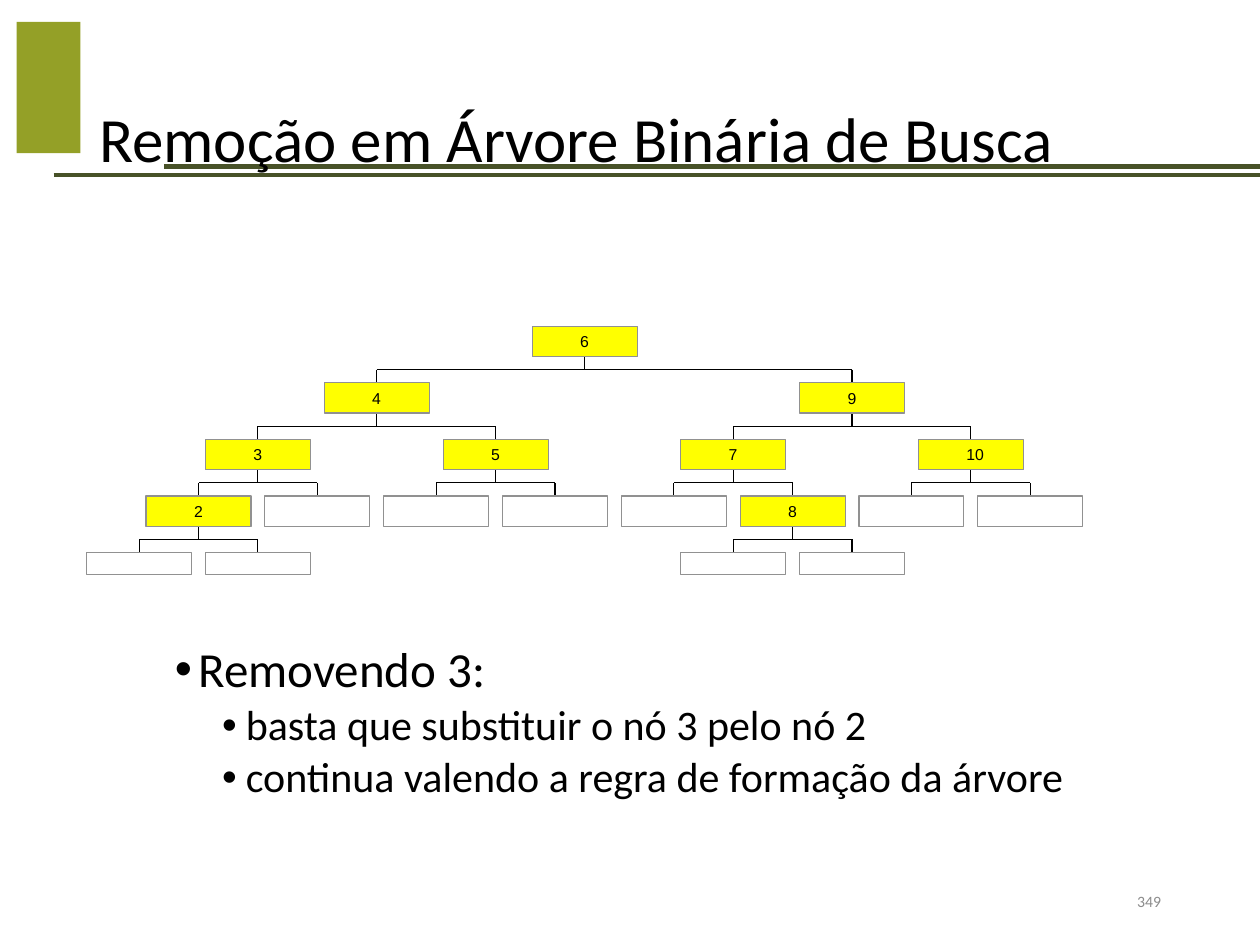
from dataclasses import dataclass, field

from lxml import etree
from pptx import Presentation
from pptx.dml.color import RGBColor as Rgb
from pptx.enum import shapes as es, text as et
from pptx.oxml import ns
from pptx.util import Pt


@dataclass(frozen=True)
class Theme:
    green: str = "94A027"
    dark: str = "485228"
    black: str = "000000"
    white: str = "FFFFFF"
    yellow: str = "FFFF00"
    edge: str = "919191"
    gray: str = "8C8C8C"
    sans: str = "Calibri"
    label: str = "Arial"
    title: int = 36
    head: int = 28
    item: int = 24
    small: int = 9
    rule: float = 2.5
    thin: float = 0.63


@dataclass
class Node:
    col: float
    key: str = ""
    kids: list = field(default_factory=list)


T = Theme()

# Tree grid, in points
LEFT, STEP = 79.5, 33.95
TOP, ROW = 186.4, 32.35
WIDE, HIGH, LOW = 60, 17.3, 12.4
LAST = 4
INSET = 27.4

TREE = Node(7.5, "6", [
    Node(4, "4", [
        Node(2, "3", [Node(1, "2", [Node(0), Node(2)]), Node(3)]),
        Node(6, "5", [Node(5), Node(7)]),
    ]),
    Node(12, "9", [
        Node(10, "7", [Node(9), Node(11, "8", [Node(10), Node(12)])]),
        Node(14, "10", [Node(13), Node(15)]),
    ]),
])


def apply(obj, vals):
    for name, val in vals.items():
        setattr(obj, name, val)


def place(shape, x, y, w, h):
    apply(shape, dict(left=Pt(x), top=Pt(y), width=Pt(w), height=Pt(h)))


def write(par, words, size, font=T.sans, color=T.black, **form):
    run = par.add_run()
    run.text = words
    apply(run.font, dict(size=Pt(size), name=font))
    run.font.color.rgb = Rgb.from_string(color)
    apply(par, form)


def line(slide, x1, y1, x2, y2, color=T.black, width=T.thin):
    con = slide.shapes.add_connector(
        es.MSO_CONNECTOR.STRAIGHT, Pt(x1), Pt(y1), Pt(x2), Pt(y2))
    con.line.width = Pt(width)
    con.line.color.rgb = Rgb.from_string(color)
    etree.SubElement(con.element.spPr, ns.qn("a:effectLst"))


def box(slide, x, y, w, h, fill, edge=None):
    rect = slide.shapes.add_shape(
        es.MSO_SHAPE.RECTANGLE, Pt(x), Pt(y), Pt(w), Pt(h))
    rect.shadow.inherit = False
    rect.fill.solid()
    rect.fill.fore_color.rgb = Rgb.from_string(fill)
    if edge:
        rect.line.width = Pt(T.thin)
        rect.line.color.rgb = Rgb.from_string(edge)
    else:
        rect.line.fill.background()
    return rect


def frame(slide, x, y, w, h, anchor):
    area = slide.shapes.add_textbox(Pt(x), Pt(y), Pt(w), Pt(h)).text_frame
    apply(area, dict(word_wrap=True, vertical_anchor=anchor))
    return area


def bullet(par, words, size, indent, before):
    write(par, words, size, line_spacing=0.9, space_before=Pt(before))
    props = par._p.get_or_add_pPr()
    props.set("marL", str(Pt(indent)))
    props.set("indent", str(Pt(-13.5)))
    etree.SubElement(props, ns.qn("a:buFont")).set("typeface", T.label)
    etree.SubElement(props, ns.qn("a:buChar")).set("char", "•")


def heading(slide):
    title = slide.shapes.title
    place(title, 49.5, 28.75, 621, 104.4)
    apply(title.text_frame, dict(
        vertical_anchor=et.MSO_ANCHOR.MIDDLE, word_wrap=True,
        auto_size=et.MSO_AUTO_SIZE.NONE))
    write(title.text_frame.paragraphs[0], "Remoção em Árvore Binária de Busca",
          T.title, alignment=et.PP_ALIGN.LEFT, line_spacing=0.9)
    # Bring the title in front of the rules
    title.element.getparent().append(title.element)


def branch(slide, node, level=0):
    """Draw a node, the lines to its children, and the subtrees below."""
    mid = LEFT + node.col * STEP
    top = TOP + level * ROW
    high = LOW if level == LAST else HIGH
    if node.kids:
        end = TOP + (level + 1) * ROW
        bus = (top + high + end) / 2
        line(slide, mid, top + high, mid, bus)
        for kid in node.kids:
            x = LEFT + kid.col * STEP
            line(slide, mid, bus, x, bus)
            line(slide, x, bus, x, end)
            branch(slide, kid, level + 1)
    rect = box(slide, mid - WIDE / 2, top, WIDE, high,
               T.yellow if node.key else T.white, T.edge)
    if node.key:
        area = rect.text_frame
        apply(area, dict(
            margin_left=Pt(INSET), margin_right=0, margin_top=0,
            margin_bottom=0, word_wrap=False,
            vertical_anchor=et.MSO_ANCHOR.MIDDLE))
        write(area.paragraphs[0], node.key, T.small, T.label,
              alignment=et.PP_ALIGN.LEFT)


def notes(slide):
    area = frame(slide, 92.9, 365, 612, 118, et.MSO_ANCHOR.TOP)
    bullet(area.paragraphs[0], "Removendo 3:", T.head, 13.5, 7.5)
    for words in ("basta que substituir o nó 3 pelo nó 2",
                  "continua valendo a regra de formação da árvore"):
        bullet(area.add_paragraph(), words, T.item, 40.5, 3.8)


def number(slide):
    area = frame(slide, 508.5, 500.5, 162, 28.75, et.MSO_ANCHOR.MIDDLE)
    write(area.paragraphs[0], "349", T.small, color=T.gray,
          alignment=et.PP_ALIGN.RIGHT)


def main():
    deck = Presentation()
    apply(deck, dict(slide_width=Pt(720), slide_height=Pt(540)))
    slide = deck.slides.add_slide(deck.slide_layouts[5])
    box(slide, 9.5, 12.5, 36.5, 75, T.green)
    for x, y in ((94, 95.2), (30.6, 100)):
        line(slide, x, y, 720, y, T.dark, T.rule)
    heading(slide)
    notes(slide)
    number(slide)
    branch(slide, TREE)
    deck.save("out.pptx")


if __name__ == "__main__":
    main()
